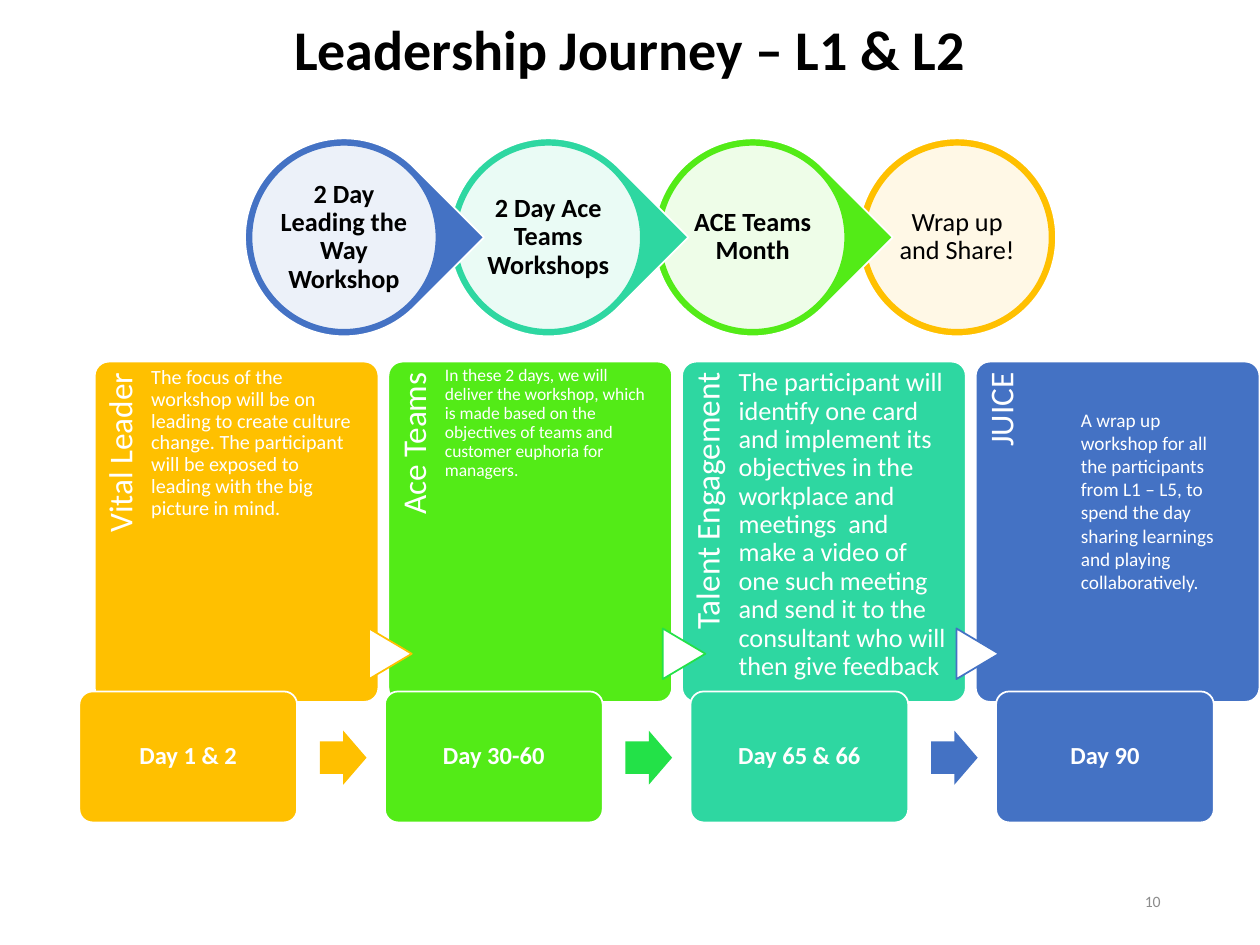
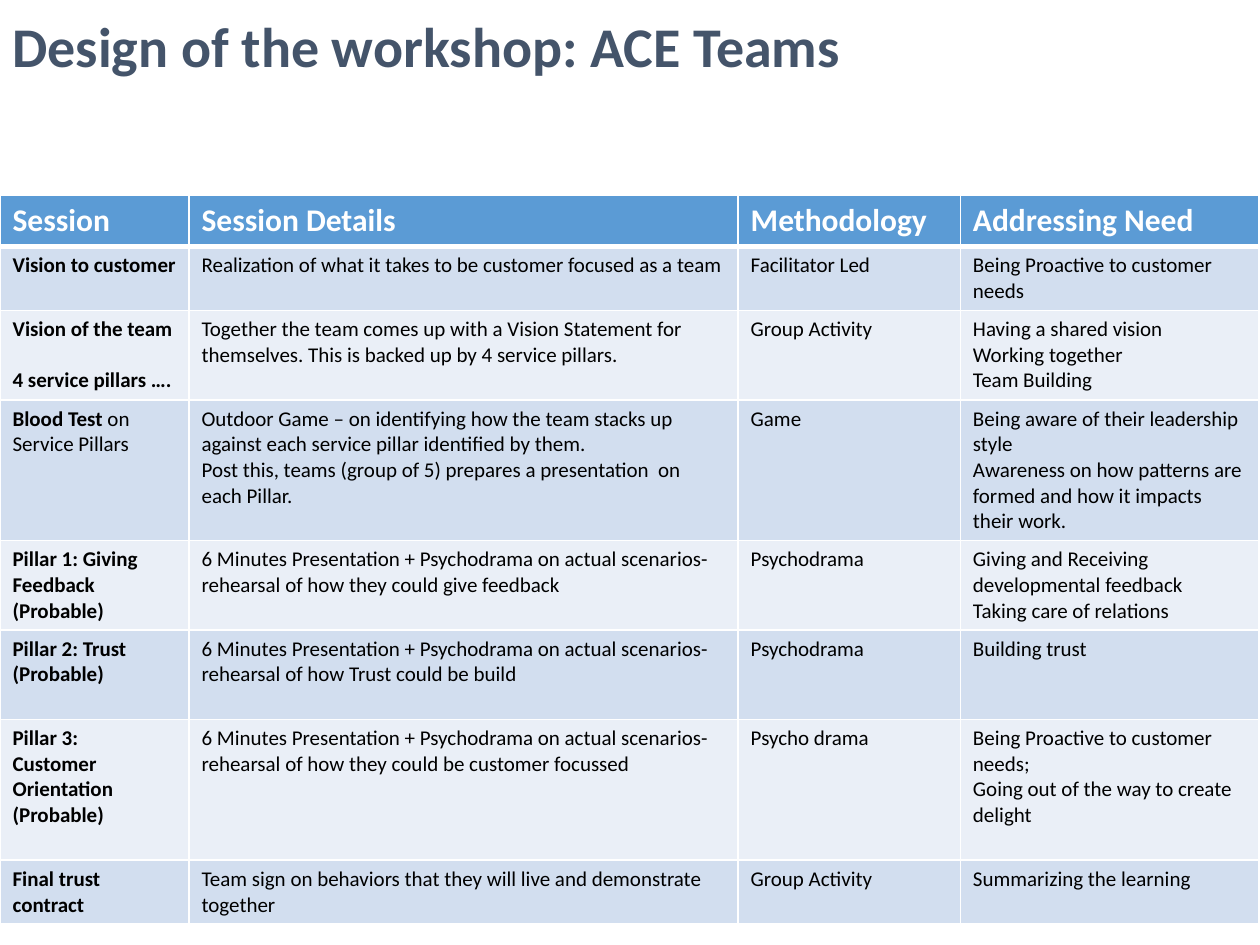
"""Build two slides on a leadership journey and its team workshop."""
from lxml import etree
from pptx import Presentation
from pptx.dml.color import RGBColor
from pptx.enum.shapes import MSO_SHAPE
from pptx.enum.text import MSO_ANCHOR, MSO_AUTO_SIZE, PP_ALIGN
from pptx.oxml.ns import qn
from pptx.util import Cm, Pt

OVAL, TEAR, ROUND = MSO_SHAPE.OVAL, MSO_SHAPE.TEAR, MSO_SHAPE.ROUNDED_RECTANGLE
TRIANGLE, ARROW = MSO_SHAPE.FLOWCHART_EXTRACT, MSO_SHAPE.RIGHT_ARROW
TOP, MIDDLE = MSO_ANCHOR.TOP, MSO_ANCHOR.MIDDLE
LEFT, CENTER, RIGHT = PP_ALIGN.LEFT, PP_ALIGN.CENTER, PP_ALIGN.RIGHT
NO_FIT = MSO_AUTO_SIZE.NONE

FONT = "Calibri"
BLACK, WHITE, GREY, SLATE = "000000", "FFFFFF", "8C8C8C", "44546A"
AMBER, LIME, TEAL, BLUE, GREEN = "FFC000", "53EB17", "2ED7A1", "4472C4", "23E148"
HEADER, BANDS = "5B9BD5", ("D2DEEF", "EAEFF7")
LINE_GAP = 14.6
INSETS = (0.25, 0.13, 0.25, 0.13)

STAGES = [
    ("2 Day Leading the Way Workshop", BLUE, True),
    ("2 Day Ace Teams Workshops", TEAL, True),
    ("ACE Teams Month", LIME, True),
    ("Wrap up and Share!", AMBER, False),
]
PANELS = [
    ("Vital Leader", AMBER, None, 11.5,
     "The focus of the workshop will be on leading to create culture change. "
     "The participant will be exposed to leading with the big picture in mind."),
    ("Ace Teams", LIME, AMBER, 10,
     "In these 2 days, we will deliver the workshop, which is made based on "
     "the objectives of teams and customer euphoria for managers."),
    ("Talent Engagement", TEAL, GREEN, 15,
     "The participant will identify one card and implement its objectives in "
     "the workplace and meetings  and make a video of one such meeting and "
     "send it to the consultant who will then give feedback"),
    ("JUICE", BLUE, BLUE, 11, ""),
]
WRAP_UP = ("A wrap up workshop for all the participants from L1 – L5, to spend "
           "the day sharing learnings and playing collaboratively.")
DAYS = [
    ("Day 1 & 2", AMBER, AMBER),
    ("Day 30-60", LIME, GREEN),
    ("Day 65 & 66", TEAL, BLUE),
    ("Day 90", BLUE, None),
]
DRAMA = "6 Minutes Presentation + Psychodrama on actual scenarios- rehearsal of how "
COL_WIDTHS = [3.81, 11.07, 4.48, 6.02]
ROW_HEIGHTS = [1.03, 1.29, 1.8, 2.82, 1.8, 1.8, 2.84, 1.27]
SESSIONS = [
    ("Session", "Session Details", "Methodology", "Addressing Need"),
    ("Vision to customer",
     "Realization of what it takes to be customer focused as a team",
     "Facilitator Led", "Being Proactive to customer needs"),
    ("Vision of the team\n\n4 service pillars ….",
     "Together the team comes up with a Vision Statement for themselves. "
     "This is backed up by 4 service pillars.",
     "Group Activity", "Having a shared vision\nWorking together\nTeam Building"),
    ("Blood Test |on Service Pillars",
     "Outdoor Game – on identifying how the team stacks up against each "
     "service pillar identified by them.\n"
     "Post this, teams (group of 5) prepares a presentation  on each Pillar.",
     "Game", "Being aware of their leadership style\n"
     "Awareness on how patterns are formed and how it impacts their work."),
    ("Pillar 1: Giving Feedback (Probable)", DRAMA + "they could give feedback",
     "Psychodrama",
     "Giving and Receiving developmental feedback\nTaking care of relations"),
    ("Pillar 2: Trust (Probable)", DRAMA + "Trust could be build",
     "Psychodrama", "Building trust"),
    ("Pillar 3:\nCustomer Orientation (Probable)",
     DRAMA + "they could be customer focussed", "Psycho drama",
     "Being Proactive to customer needs;\nGoing out of the way to create delight"),
    ("Final trust contract",
     "Team sign on behaviors that they will live and demonstrate together",
     "Group Activity", "Summarizing the learning"),
]


def rgb(value):
    """Turn a hex string into a colour."""
    return RGBColor.from_string(value)


def add_run(p, text, size, color, bold=False):
    """Append one formatted run to a paragraph."""
    r = p.add_run()
    r.text = text
    r.font.name, r.font.size, r.font.bold = FONT, Pt(size), bold
    r.font.color.rgb = rgb(color)


def set_text(sp, text, size, color, bold=False, align=LEFT, anchor=TOP,
             insets=INSETS, spacing=0.9):
    """Write one paragraph into a shape, text box or placeholder."""
    tf = sp.text_frame
    tf.word_wrap, tf.auto_size, tf.vertical_anchor = True, NO_FIT, anchor
    tf.margin_left, tf.margin_top, tf.margin_right, tf.margin_bottom = map(Cm, insets)
    p = tf.paragraphs[0]
    p.alignment, p.line_spacing = align, spacing
    add_run(p, text, size, color, bold)


def add_box(slide, x, y, w, h, text, size, color, **style):
    """Add a text box and return it."""
    sp = slide.shapes.add_textbox(Cm(x), Cm(y), Cm(w), Cm(h))
    set_text(sp, text, size, color, **style)
    return sp


def add_shape(slide, kind, x, y, w, h, fill, line=WHITE, adj=(), rotation=0):
    """Add a flat preset shape and return it."""
    sp = slide.shapes.add_shape(kind, Cm(x), Cm(y), Cm(w), Cm(h))
    sp.shadow.inherit = False
    sp.rotation = rotation
    sp.fill.solid()
    sp.fill.fore_color.rgb = rgb(fill)
    if line:
        sp.line.color.rgb = rgb(line)
        sp.line.width = Pt(1)
    else:
        sp.line.fill.background()
    for i, value in enumerate(adj):
        sp.adjustments[i] = value
    return sp


def set_opacity(sp, percent):
    """Make a solid fill partly transparent."""
    clr = sp.fill._xPr.find(qn("a:solidFill"))[0]
    etree.SubElement(clr, qn("a:alpha"), val=str(percent * 1000))


def add_slide(prs, title, color, height, align):
    """Add a title-only slide with its title across the top."""
    slide = prs.slides.add_slide(prs.slide_layouts[5])
    sp = slide.shapes.title
    sp.left, sp.top, sp.width, sp.height = 0, 0, prs.slide_width, Cm(height)
    set_text(sp, title, 32, color, bold=True, align=align, anchor=MIDDLE)
    return slide


def add_stages(slide):
    """Draw the overlapping circles, last one at the back."""
    for i, (text, color, bold) in reversed(list(enumerate(STAGES))):
        x, y = 4.94 + 4.12 * i, 2.79
        if i == len(STAGES) - 1:
            add_shape(slide, OVAL, x, y, 3.99, 3.99, color)
        else:
            add_shape(slide, TEAR, x, y, 3.99, 3.99, color, adj=[1], rotation=45)
        sp = add_shape(slide, OVAL, x + 0.13, y + 0.13, 3.73, 3.73, WHITE, color)
        set_opacity(sp, 90)
        set_text(sp, text, 15, BLACK, bold=bold, align=CENTER, anchor=MIDDLE,
                 insets=(0.04,) * 4)


def add_panels(slide):
    """Draw the description panels with their sideways names."""
    for i, (name, color, pointer, size, text) in enumerate(PANELS):
        x, y = 1.91 + 5.92 * i, 7.29
        add_shape(slide, ROUND, x, y, 5.72, 6.86, color, adj=[0.05])
        sp = add_box(slide, x - 2.24, 9.53, 5.64, 1.14, name, 19, WHITE,
                     align=RIGHT, insets=(0, 0.17, 0.23, 0))
        sp.rotation = 270
        if pointer:
            add_shape(slide, TRIANGLE, x - 0.47, 12.75, 1.02, 0.86, WHITE,
                      pointer, rotation=90)
        if text:
            add_box(slide, x + 1.14, y, 4.27, 6.86, text, size, WHITE,
                    insets=(0, size / 100, 0, 0))
    add_box(slide, 21.54, 8.1, 3.51, 4.01, WRAP_UP, 11, WHITE, spacing=1)


def add_days(slide):
    """Draw the row of day boxes and the arrows between them."""
    for i, (text, color, arrow) in enumerate(DAYS):
        x = 1.6 + 6.16 * i
        sp = add_shape(slide, ROUND, x, 13.94, 4.39, 2.64, color, adj=[0.1])
        set_text(sp, text, 14, WHITE, bold=True, align=CENTER, anchor=MIDDLE)
        if arrow:
            add_shape(slide, ARROW, x + 4.85, 14.73, 0.94, 1.09, arrow, None,
                      adj=[0.6, 0.5])


def set_borders(cell, top, bottom):
    """Give a cell white borders, with top and bottom widths in points."""
    tc_pr = cell._tc.get_or_add_tcPr()
    for i, (side, width) in enumerate(zip("LRTB", (1, 1, top, bottom))):
        ln = etree.Element(qn("a:ln" + side), w=str(Pt(width)))
        fill = etree.SubElement(ln, qn("a:solidFill"))
        etree.SubElement(fill, qn("a:srgbClr"), val=WHITE)
        tc_pr.insert(i, ln)


def fill_cell(cell, text, size, color, bold):
    """Write lines into a cell; a bar ends bold text, an empty line is a gap."""
    tf = cell.text_frame
    p, gap = tf.paragraphs[0], 0
    for i, line in enumerate(text.split("\n")):
        if not line:
            gap = LINE_GAP
            continue
        if i:
            p = tf.add_paragraph()
            p.space_before = Pt(gap)
        for j, part in enumerate(line.split("|")):
            add_run(p, part, size, color, bold and j == 0)


def add_sessions(slide):
    """Draw the session table with header and banded rows."""
    table = slide.shapes.add_table(
        len(SESSIONS), len(COL_WIDTHS), 0, Cm(3.94),
        Cm(sum(COL_WIDTHS)), Cm(sum(ROW_HEIGHTS))).table
    for col, width in zip(table.columns, COL_WIDTHS):
        col.width = Cm(width)
    for r, (row, height) in enumerate(zip(SESSIONS, ROW_HEIGHTS)):
        table.rows[r].height = Cm(height)
        head = r == 0
        for c, text in enumerate(row):
            cell = table.cell(r, c)
            cell.fill.solid()
            cell.fill.fore_color.rgb = rgb(HEADER if head else BANDS[(r - 1) % 2])
            set_borders(cell, 3 if r == 1 else 1, 3 if head else 1)
            fill_cell(cell, text, 18 if head else 12, WHITE if head else BLACK,
                      head or c == 0)


def main():
    """Build and save the presentation."""
    prs = Presentation()
    prs.slide_width, prs.slide_height = Cm(25.4), Cm(19.05)

    slide = add_slide(prs, "Leadership Journey – L1 & L2", BLACK, 2.13, CENTER)
    add_stages(slide)
    add_panels(slide)
    add_days(slide)
    add_box(slide, 17.93, 17.65, 5.72, 1.02, "10", 9, GREY, align=RIGHT,
            anchor=MIDDLE, spacing=1)

    slide = add_slide(prs, "Design of the workshop: ACE Teams", SLATE, 1.98, LEFT)
    add_sessions(slide)
    prs.save("out.pptx")


if __name__ == "__main__":
    main()
